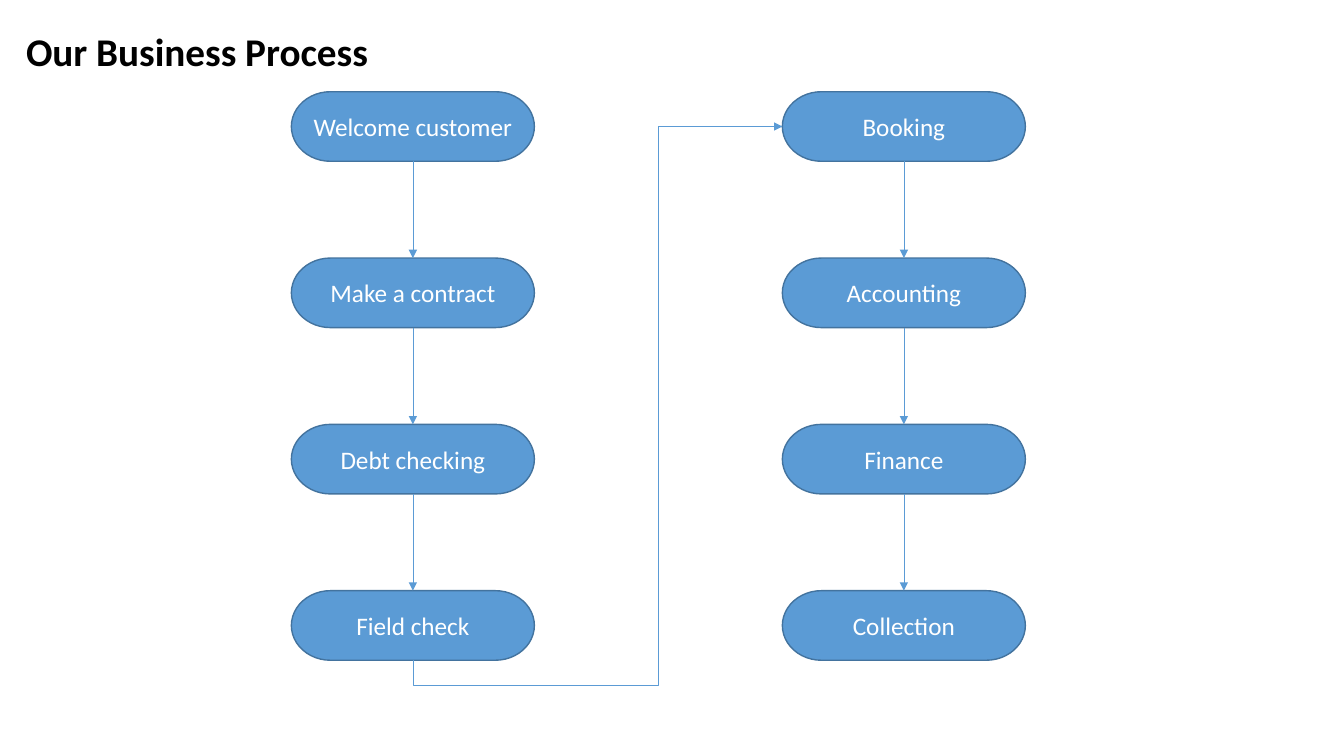
"""Build the business process slide: two columns of steps joined by arrows."""
import lxml.etree
import pptx
import pptx.dml.color
import pptx.enum.shapes
import pptx.enum.text
import pptx.oxml.ns
import pptx.util

Inches = pptx.util.Inches
Pt = pptx.util.Pt
qn = pptx.oxml.ns.qn
CONNECTOR = pptx.enum.shapes.MSO_CONNECTOR
ALIGN = pptx.enum.text.PP_ALIGN

TITLE = "Our Business Process"
COLUMNS = [
    ["Welcome customer", "Make a contract", "Debt checking", "Field check"],
    ["Booking", "Accounting", "Finance", "Collection"],
]
COLUMN_LEFTS = [2.89, 7.76]
STEP_TOP, STEP_PITCH = 0.91, 1.65
STEP_WIDTH, STEP_HEIGHT = 2.41, 0.69
LINK_DROP, LINK_TURN = 6.8, 6.53
TOP_SITE, LEFT_SITE, BOTTOM_SITE = 0, 1, 2
STEP_FILL, STEP_LINE = "5B9BD5", "43739E"
TITLE_FONT = {"name": "Calibri", "size": Pt(28), "bold": True}
STEP_FONT = {"name": "Calibri", "size": Pt(18)}


def paint(color_format, color):
    color_format.rgb = pptx.dml.color.RGBColor.from_string(color)


def write(shape, text, font_values, color, alignment):
    paragraph = shape.text_frame.paragraphs[0]
    paragraph.alignment = alignment
    run = paragraph.add_run()
    run.text = text
    for name, value in font_values.items():
        setattr(run.font, name, value)
    paint(run.font.color, color)


def add_step(slide, text, left, top):
    shape = slide.shapes.add_shape(
        pptx.enum.shapes.MSO_SHAPE.FLOWCHART_TERMINATOR,
        Inches(left), Inches(top), Inches(STEP_WIDTH), Inches(STEP_HEIGHT))
    shape.shadow.inherit = False
    shape.fill.solid()
    paint(shape.fill.fore_color, STEP_FILL)
    paint(shape.line.color, STEP_LINE)
    shape.line.width = Pt(1)
    shape.text_frame.word_wrap = True
    shape.text_frame.vertical_anchor = pptx.enum.text.MSO_ANCHOR.MIDDLE
    write(shape, text, STEP_FONT, "FFFFFF", ALIGN.CENTER)
    return shape


def add_arrow(slide, kind, source, target, target_site):
    arrow = slide.shapes.add_connector(kind, 0, 0, 0, 0)
    arrow.begin_connect(source, BOTTOM_SITE)
    arrow.end_connect(target, target_site)
    paint(arrow.line.color, STEP_FILL)
    arrow.line.width = Pt(0.5)
    line = arrow.line._get_or_add_ln()
    lxml.etree.SubElement(line, qn("a:tailEnd"), type="triangle")
    lxml.etree.SubElement(arrow._element.spPr, qn("a:effectLst"))
    return arrow


def bend_link(link):
    """Route the link below its source, up between the columns and into its target."""
    start_x, start_y = link.begin_x, link.begin_y
    end_x, end_y = link.end_x, link.end_y
    width, height = start_y - end_y, end_x - start_x
    adjustments = {
        "adj1": (start_y - Inches(LINK_DROP)) / width,
        "adj2": (Inches(LINK_TURN) - start_x) / height,
    }
    box = {
        "left": (start_x + end_x - width) // 2,
        "top": (start_y + end_y - height) // 2,
        "width": width,
        "height": height,
    }
    for name, value in box.items():
        setattr(link, name, value)
    properties = link._element.spPr
    for name, value in {"rot": "5400000", "flipH": "1", "flipV": "1"}.items():
        properties.find(qn("a:xfrm")).set(name, value)
    geometry = properties.find(qn("a:prstGeom"))
    geometry.set("prst", "bentConnector4")
    guides = geometry.find(qn("a:avLst"))
    for name, ratio in adjustments.items():
        lxml.etree.SubElement(guides, qn("a:gd"), name=name,
                              fmla=f"val {round(ratio * 100000)}")


def main():
    presentation = pptx.Presentation()
    presentation.slide_width = Inches(13.33)
    presentation.slide_height = Inches(7.5)
    slide = presentation.slides.add_slide(presentation.slide_layouts[6])

    columns = [
        [add_step(slide, text, left, STEP_TOP + row * STEP_PITCH)
         for row, text in enumerate(texts)]
        for left, texts in zip(COLUMN_LEFTS, COLUMNS)
    ]
    for steps in columns:
        for source, target in zip(steps, steps[1:]):
            add_arrow(slide, CONNECTOR.STRAIGHT, source, target, TOP_SITE)
    bend_link(add_arrow(slide, CONNECTOR.ELBOW, columns[0][-1], columns[1][0], LEFT_SITE))

    title = slide.shapes.add_textbox(Inches(0.16), Inches(0.22), Inches(3.94), Inches(0.57))
    title.text_frame.word_wrap = True
    title.text_frame.auto_size = pptx.enum.text.MSO_AUTO_SIZE.SHAPE_TO_FIT_TEXT
    write(title, TITLE, TITLE_FONT, "000000", ALIGN.LEFT)
    presentation.save("out.pptx")


if __name__ == "__main__":
    main()
